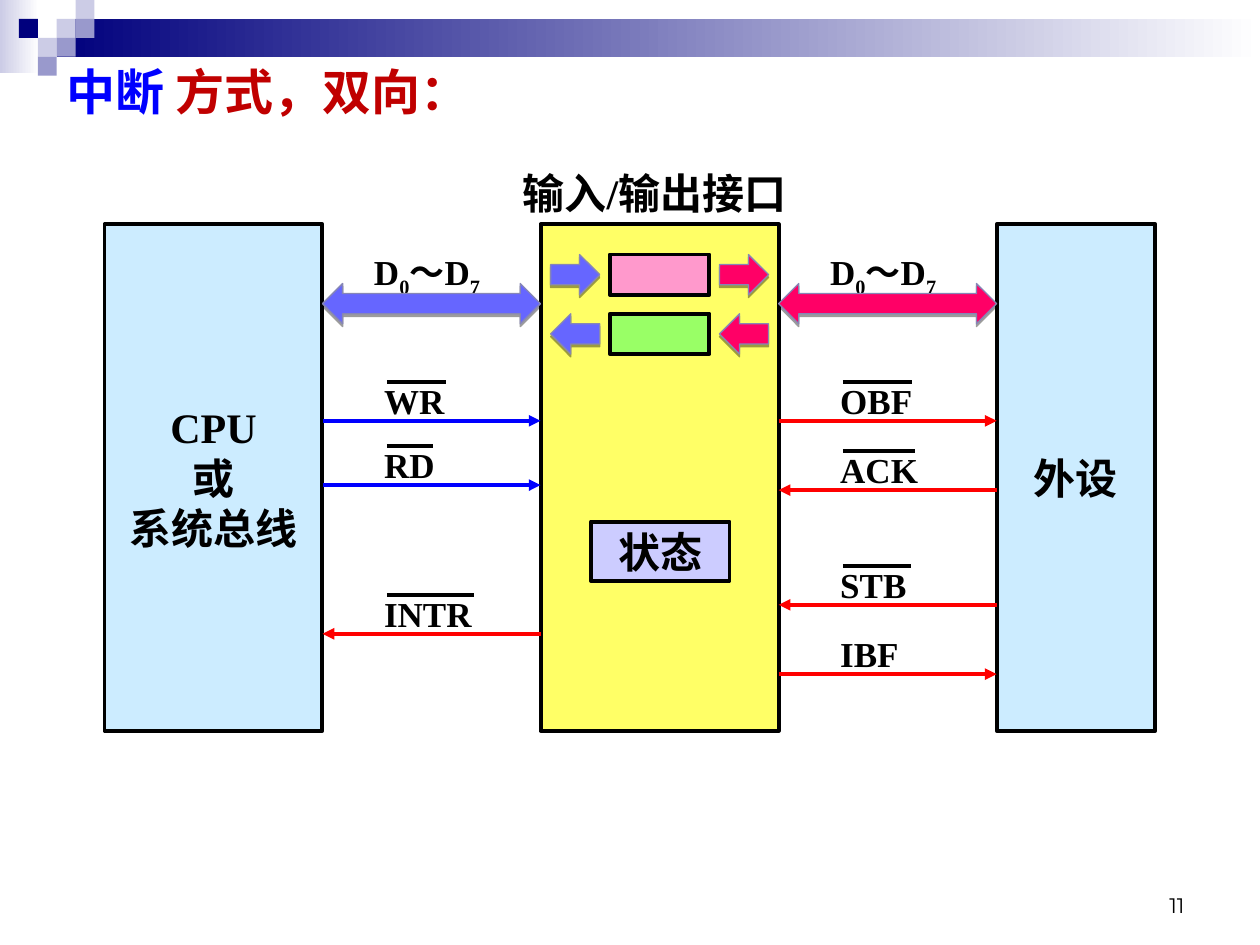
from typing import NamedTuple

from lxml.etree import SubElement
from pptx import Presentation
from pptx.dml.color import RGBColor
from pptx.enum.shapes import MSO_CONNECTOR, MSO_SHAPE
from pptx.enum.text import MSO_ANCHOR, MSO_AUTO_SIZE, PP_ALIGN
from pptx.oxml.ns import qn
from pptx.util import Inches, Pt


class Theme:
    ink, white = "000000", "FFFFFF"
    navy, mid, pale = "00007D", "9999CC", "CCCCE6"
    sky, yellow, lilac = "CCECFF", "FFFF66", "CCCCFF"
    pink, green = "FF99CC", "99FF66"
    blue, red, brick = "0000FF", "FF0000", "C00000"
    violet, rose, edge = "6666FF", "FF0066", "8686B6"
    serif, sans = "Times New Roman", "Montserrat"
    title, head, label, note = 28, 24, 20, 12
    stroke, thin = 2.25, 0.75


class Box(NamedTuple):
    x: float
    y: float
    w: float
    h: float

    @property
    def right(self):
        return self.x + self.w

    def emu(self):
        return [Inches(v) for v in self]


class Run(NamedTuple):
    text: str
    color: str = Theme.ink
    base: int = 0


def rgb(code):
    return RGBColor.from_string(code)


def write(frame, *lines, size=Theme.head, font=Theme.serif, bold=True,
          align=PP_ALIGN.LEFT, anchor=MSO_ANCHOR.TOP):
    """Fill a text frame; each line is a string or a list of Runs."""
    frame.word_wrap = True
    frame.vertical_anchor = anchor
    for i, line in enumerate(lines):
        para = frame.paragraphs[0] if i == 0 else frame.add_paragraph()
        para.alignment = align
        for part in [Run(line)] if isinstance(line, str) else line:
            run = para.add_run()
            run.text = part.text
            run.font.size, run.font.name, run.font.bold = Pt(size), font, bold
            run.font.color.rgb = rgb(part.color)
            if part.base:
                run.font._element.set("baseline", str(part.base * 1000))


def label(slide, box, *lines, **fmt):
    frame = slide.shapes.add_textbox(*box.emu()).text_frame
    write(frame, *lines, **fmt)
    frame.auto_size = MSO_AUTO_SIZE.SHAPE_TO_FIT_TEXT


def shape(slide, box, fill, line=None, width=Theme.stroke, kind=MSO_SHAPE.RECTANGLE):
    item = slide.shapes.add_shape(kind, *box.emu())
    item.shadow.inherit = False
    item.fill.solid()
    item.fill.fore_color.rgb = rgb(fill)
    if line:
        item.line.color.rgb = rgb(line)
        item.line.width = Pt(width)
    else:
        item.line.fill.background()
    return item


def block(slide, box, fill, *lines):
    """Outlined box with centred text."""
    item = shape(slide, box, fill, Theme.ink)
    if lines:
        write(item.text_frame, *lines, align=PP_ALIGN.CENTER, anchor=MSO_ANCHOR.MIDDLE)


def fade(slide, box, start, end):
    fill = shape(slide, box, start).fill
    fill.gradient()
    fill.gradient_angle = 0
    for stop, code, place in zip(fill.gradient_stops, (start, end), (0, 1)):
        stop.color.rgb = rgb(code)
        stop.position = place


def arrow(slide, box, fill, kind):
    """Block arrow with a short drop shadow."""
    item = shape(slide, box, fill, Theme.edge, Theme.thin, kind)
    effects = item._element.spPr.find(qn("a:effectLst"))
    cast = SubElement(effects, qn("a:outerShdw"), blurRad="0", dist=str(Pt(1.6)),
                      dir="5400000", rotWithShape="0")
    tint = SubElement(cast, qn("a:srgbClr"), val=Theme.ink)
    SubElement(tint, qn("a:alpha"), val="38000")


def rule(slide, start, end, y, color, tip=False):
    line = slide.shapes.add_connector(
        MSO_CONNECTOR.STRAIGHT, Inches(start), Inches(y), Inches(end), Inches(y))
    line.line.color.rgb = rgb(color)
    line.line.width = Pt(Theme.stroke)
    if tip:
        SubElement(line.line._get_or_add_ln(), qn("a:tailEnd"), type="triangle")
    SubElement(line._element.spPr, qn("a:effectLst"))


def banner(slide, box):
    cell = 0.15
    fade(slide, Box(box.x, box.y, 0.31, 0.58), Theme.pale, Theme.white)
    fade(slide, Box(box.x + 0.45, box.y + cell, box.w - 0.45, 2 * cell),
         Theme.navy, Theme.white)
    tiles = [(3, 1, Theme.pale), (4, 0, Theme.pale), (4, 1, Theme.mid), (2, 2, Theme.pale),
             (1, 1, Theme.navy), (3, 2, Theme.mid), (2, 3, Theme.mid)]
    for col, row, color in tiles:
        shape(slide, Box(box.x + col * cell, box.y + row * cell, cell, cell), color)


def port(slide, box):
    """Interface block: two data buffers with their arrows, and the status register."""
    block(slide, box, Theme.yellow)
    label(slide, Box(box.x - 0.55, box.y - 0.5, 2.91, 0.5), "输入/输出接口",
          align=PP_ALIGN.CENTER)
    rows = [(0.24, Theme.pink, MSO_SHAPE.RIGHT_ARROW),
            (0.71, Theme.green, MSO_SHAPE.LEFT_ARROW)]
    for drop, color, kind in rows:
        y = box.y + drop
        block(slide, Box(box.x + 0.55, y, 0.79, 0.32), color)
        arrow(slide, Box(box.x + 0.08, y, 0.39, 0.32), Theme.violet, kind)
        arrow(slide, Box(box.x + 1.42, y, 0.39, 0.32), Theme.rose, kind)
    block(slide, Box(box.x + 0.4, box.y + 2.36, 1.1, 0.47), Theme.lilac, "状态")


def bus(slide, box, color, inset, signals):
    """Data bus with signal lines below; a signal is (name, y, color, outward, bar)."""
    low = {"base": -25}
    label(slide, Box(box.x + 0.31, box.y + 0.16, 1.34, 0.48),
          [Run("D"), Run("0", **low), Run("～D"), Run("7", **low)], size=Theme.label)
    arrow(slide, Box(box.x, box.y + 0.47, box.w, 0.32), color, MSO_SHAPE.LEFT_RIGHT_ARROW)
    for name, y, tone, outward, bar in signals:
        ends = (box.x, box.right) if outward else (box.right, box.x)
        left = box.x + inset
        label(slide, Box(left, y - 0.38, 1.26, 0.44), name, size=Theme.label)
        rule(slide, *ends, y, tone, tip=True)
        if bar:
            rule(slide, left + 0.12, left + 0.12 + bar, y - 0.31, Theme.ink)


def main():
    deck = Presentation()
    deck.slide_width, deck.slide_height = Inches(10), Inches(7.5)
    slide = deck.slides.add_slide(deck.slide_layouts[6])
    top, tall = 1.78, 4.02
    cpu, hub, dev = (Box(x, top, w, tall) for x, w in
                     [(0.83, 1.73), (4.29, 1.89), (7.91, 1.26)])

    banner(slide, Box(0, 0, 10, 0.6))
    label(slide, Box(0.43, 0.44, 4.96, 0.57),
          [Run("中断", Theme.blue), Run(" 方式，双向：", Theme.brick)], size=Theme.title)
    block(slide, cpu, Theme.sky, "CPU", "或", "系统总线")
    block(slide, dev, Theme.sky, "外设")
    port(slide, hub)
    bus(slide, Box(cpu.right, top, hub.x - cpu.right, tall), Theme.violet, 0.39, [
        ("WR", 3.34, Theme.blue, True, 0.47),
        ("RD", 3.85, Theme.blue, True, 0.37),
        ("INTR", 5.03, Theme.red, False, 0.69)])
    bus(slide, Box(hub.right, top, dev.x - hub.right, tall), Theme.rose, 0.39, [
        ("OBF", 3.34, Theme.red, True, 0.55),
        ("ACK", 3.89, Theme.red, False, 0.57),
        ("STB", 4.8, Theme.red, False, 0.54),
        ("IBF", 5.35, Theme.red, True, 0)])
    label(slide, Box(7.17, 6.83, 2.33, 0.5), "11", size=Theme.note, font=Theme.sans,
          bold=False, align=PP_ALIGN.RIGHT, anchor=MSO_ANCHOR.BOTTOM)
    deck.save("out.pptx")


if __name__ == "__main__":
    main()
